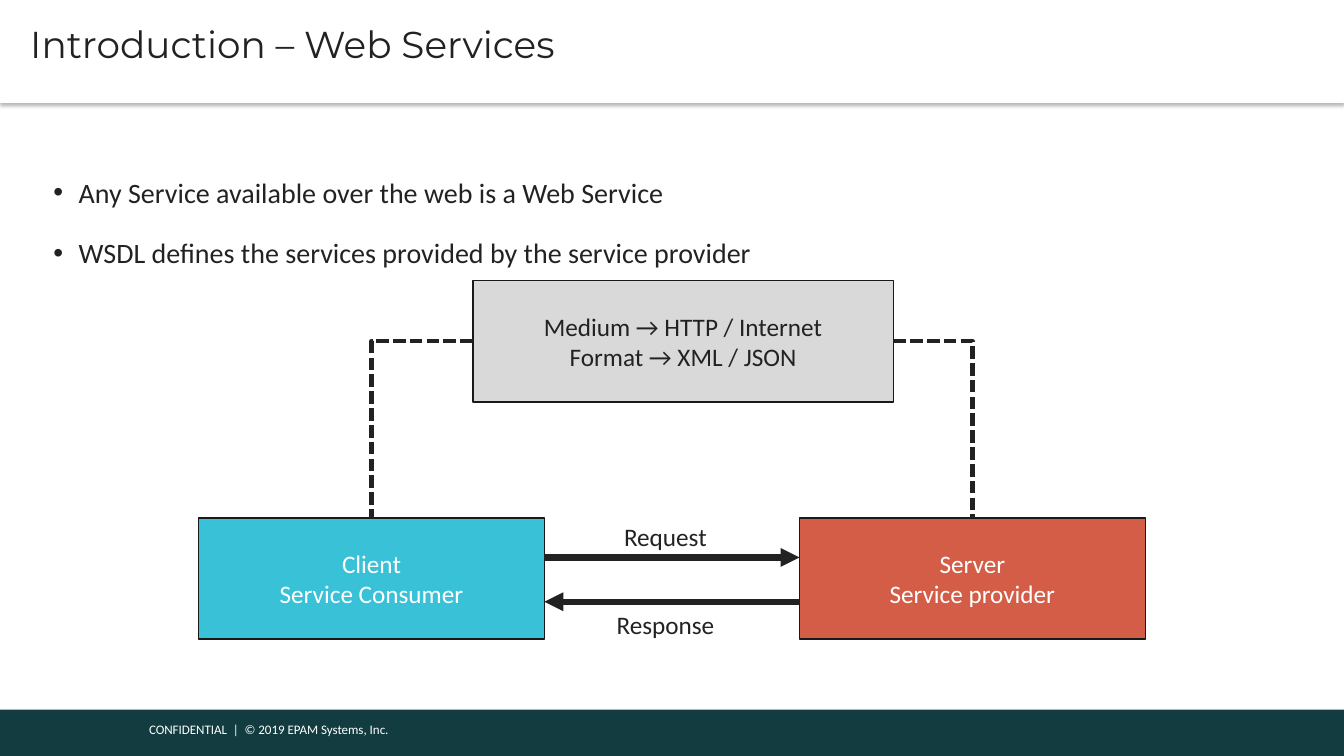
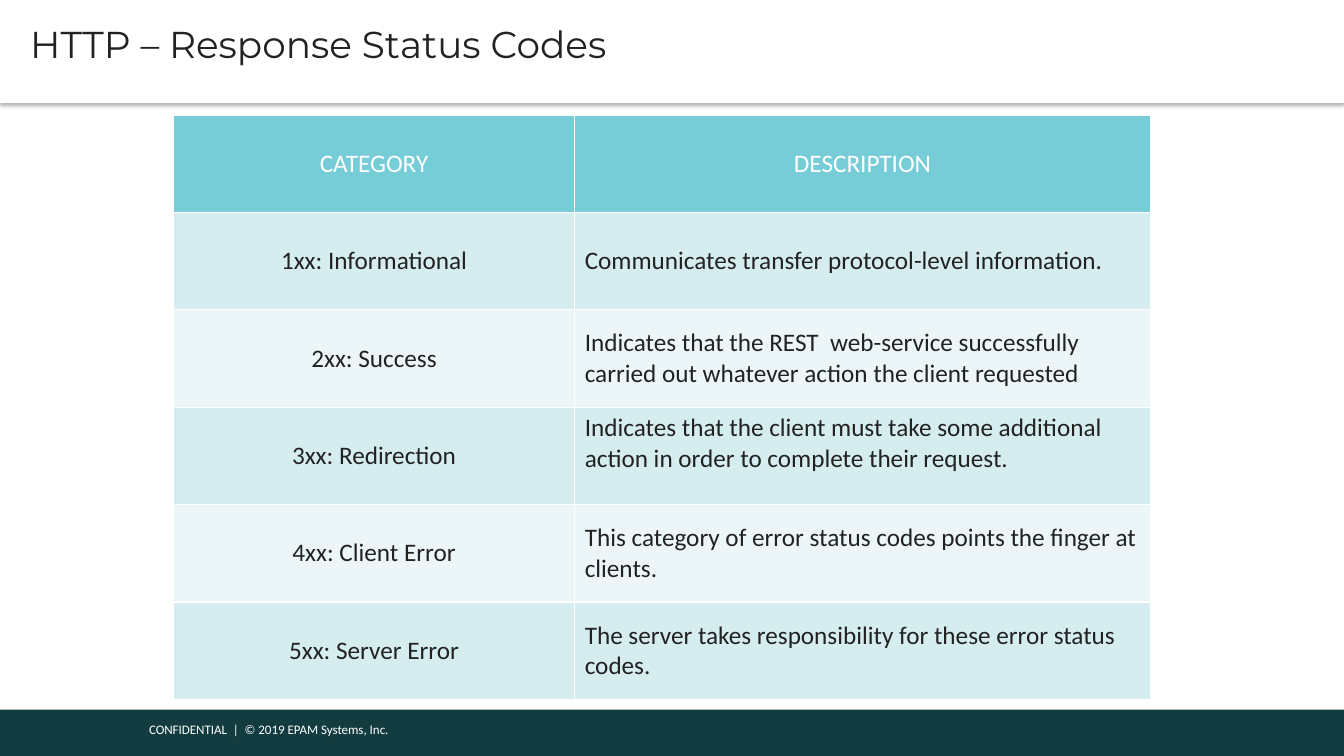
from lxml.etree import SubElement
from pptx import Presentation
from pptx.dml.color import RGBColor
from pptx.enum.dml import MSO_LINE_DASH_STYLE as Dash
from pptx.enum.shapes import MSO_CONNECTOR_TYPE as Connector, MSO_SHAPE as Shape
from pptx.enum.text import MSO_VERTICAL_ANCHOR as Anchor, PP_PARAGRAPH_ALIGNMENT as Align
from pptx.oxml.ns import qn
from pptx.util import Inches, Pt

COLORS = {
    "white": "FFFFFF", "ink": "222222", "outline": "191919", "footer": "133C41",
    "client": "39C2D7", "server": "D35D47", "medium": "D9D9D9",
    "header": "76CDD8", "odd_row": "D6EDF0", "even_row": "ECF6F8", "shadow": "000000",
}
BODY_FONT, TITLE_FONT = "Calibri", "Montserrat"
WIDTH, HEIGHT = 13.33, 7.5
BULLETS = [
    "Any Service available over the web is a Web Service",
    "WSDL defines the services provided by the service provider",
]
STATUS_ROWS = [
    ("CATEGORY", "DESCRIPTION"),
    ("1xx: Informational", "Communicates transfer protocol-level information."),
    ("2xx: Success", "Indicates that the REST  web-service successfully carried out "
                     "whatever action the client requested"),
    ("3xx: Redirection", "Indicates that the client must take some additional action "
                         "in order to complete their request."),
    ("4xx: Client Error", "This category of error status codes points the finger at clients."),
    ("5xx: Server Error", "The server takes responsibility for these error status codes."),
]


def rgb(name):
    """Return the named colour."""
    return RGBColor.from_string(COLORS[name])


def write(text_frame, text, size, color, align=Align.LEFT, font=BODY_FONT):
    """Fill a text frame and format all of its runs."""
    text_frame.text = text
    for paragraph in text_frame.paragraphs:
        paragraph.alignment = align
        for run in paragraph.runs:
            run.font.name, run.font.size, run.font.bold = font, Pt(size), False
            run.font.color.rgb = rgb(color)


def set_margins(text_frame, left, top, right, bottom):
    """Set the four insets of a text frame."""
    text_frame.margin_left, text_frame.margin_top = Inches(left), Inches(top)
    text_frame.margin_right, text_frame.margin_bottom = Inches(right), Inches(bottom)


def add_box(slide, box, fill, outline=None):
    """Add a flat rectangle."""
    shape = slide.shapes.add_shape(Shape.RECTANGLE, *map(Inches, box))
    shape.shadow.inherit = False
    shape.fill.solid()
    shape.fill.fore_color.rgb = rgb(fill)
    if outline:
        shape.line.color.rgb = rgb(outline)
        shape.line.width = Pt(1)
    else:
        shape.line.fill.background()
    return shape


def add_text(slide, box, text, size, color, align=Align.LEFT, wrap=True):
    """Add a text box."""
    text_frame = slide.shapes.add_textbox(*map(Inches, box)).text_frame
    text_frame.word_wrap = wrap
    write(text_frame, text, size, color, align)
    return text_frame


def add_node(slide, box, text, fill, color):
    """Add a labelled diagram box."""
    shape = add_box(slide, box, fill, "outline")
    shape.text_frame.word_wrap = True
    shape.text_frame.vertical_anchor = Anchor.MIDDLE
    write(shape.text_frame, text, 18, color, Align.CENTER)
    return shape


def add_line(slide, kind, start, end, width):
    """Add a plain connector between two points."""
    line = slide.shapes.add_connector(kind, *map(Inches, (*start, *end)))
    line.line.color.rgb = rgb("ink")
    line.line.width = Pt(width)
    SubElement(line._element.spPr, qn("a:effectLst"))
    return line


def add_arrow(slide, start, end):
    """Add a thick arrow."""
    line = add_line(slide, Connector.STRAIGHT, start, end, 4.5)
    SubElement(line.line._get_or_add_ln(), qn("a:tailEnd"), type="triangle")


def add_dashed_elbow(slide, source, side, target):
    """Link a side of the source to the top of the target with one bend."""
    start_x = source.left if side == 1 else source.left + source.width
    start = (start_x.inches if side == 1 else (start_x / Inches(1)),
             (source.top + source.height / 2) / Inches(1))
    end = ((target.left + target.width / 2) / Inches(1), target.top.inches)
    line = add_line(slide, Connector.ELBOW, start, end, 3)
    line.line.dash_style = Dash.SQUARE_DOT
    line._element.spPr.find(qn("a:prstGeom")).set("prst", "bentConnector2")
    line.begin_connect(source, side)
    line.end_connect(target, 0)


def add_title(slide, box, title):
    """Add the white title band with its soft shadow."""
    band = add_box(slide, box, "white")
    effects = band._element.spPr.find(qn("a:effectLst"))
    shadow = SubElement(effects, qn("a:outerShdw"), blurRad=str(Pt(3.1)), dist=str(Pt(2)),
                        dir="5400000", algn="t", rotWithShape="0")
    color = SubElement(shadow, qn("a:srgbClr"), val=COLORS["shadow"])
    SubElement(color, qn("a:alpha"), val="30000")
    text_frame = band.text_frame
    text_frame.word_wrap = True
    text_frame.vertical_anchor = Anchor.MIDDLE
    set_margins(text_frame, 0.3, 0.04, 0.07, 0.04)
    write(text_frame, title, 26.7, "ink", font=TITLE_FONT)
    paragraph = text_frame.paragraphs[0]
    paragraph.line_spacing, paragraph.space_after = Pt(21.3), Pt(4)


def add_footer(slide, box):
    """Add the dark footer band and its notice."""
    left, top, _, _ = box
    add_box(slide, box, "footer")
    add_text(slide, (left + 1.38, top + 0.07, 3.53, 0.26),
             "CONFIDENTIAL  |  © 2019 EPAM Systems, Inc.", 9.3, "white")


def new_slide(presentation, title):
    """Start a slide with the shared footer and title."""
    slide = presentation.slides.add_slide(presentation.slide_layouts[6])
    add_footer(slide, (0, 7.04, WIDTH, 0.46))
    add_title(slide, (0, 0, WIDTH, 1.02), title)
    return slide


def add_bullets(slide, box, lines):
    """Add a bulleted list with wide line spacing."""
    text_frame = add_text(slide, box, "\n".join(lines), 20, "ink")
    set_margins(text_frame, 0, 0, 0, 0)
    for index, paragraph in enumerate(text_frame.paragraphs):
        paragraph.line_spacing, paragraph.space_after = 1.5, Pt(4)
        if index:
            paragraph.space_before = Pt(3.5)
        properties = paragraph._p.get_or_add_pPr()
        properties.set("marL", str(Inches(0.25)))
        properties.set("indent", str(-Inches(0.25)))
        SubElement(properties, qn("a:buFont"), typeface="Arial")
        SubElement(properties, qn("a:buChar"), char="•")


def add_exchange_diagram(slide, box):
    """Draw client, server and medium with their links."""
    left, top, width, height = box
    node_width, node_height = 3.43, 1.2
    node_top = top + height - node_height
    client_right, server_left = left + node_width, left + width - node_width
    client = add_node(slide, (left, node_top, node_width, node_height),
                      "Client\nService Consumer", "client", "white")
    server = add_node(slide, (server_left, node_top, node_width, node_height),
                      "Server\nService provider", "server", "white")
    medium = add_node(slide, (left + 2.72, top, 4.17, 1.21),
                      "Medium → HTTP / Internet\nFormat → XML / JSON", "medium", "ink")
    request_y, response_y = node_top + 0.39, node_top + 0.83
    add_arrow(slide, (client_right, request_y), (server_left, request_y))
    add_arrow(slide, (server_left, response_y), (client_right, response_y))
    for label, offset in (("Request", -0.02), ("Response", 0.86)):
        add_text(slide, (left + 4.04, node_top + offset, 1.18, 0.4), label, 18, "ink",
                 Align.CENTER, wrap=False)
    add_dashed_elbow(slide, medium, 1, client)
    add_dashed_elbow(slide, medium, 3, server)


def add_status_table(slide, box, rows):
    """Add the two-column table of status categories."""
    table = slide.shapes.add_table(len(rows), 2, *map(Inches, box)).table
    for column, width in zip(table.columns, (3.98, 5.71)):
        column.width = Inches(width)
    for row_index, row in enumerate(rows):
        is_header = row_index == 0
        fill = "header" if is_header else ("even_row", "odd_row")[row_index % 2]
        for column_index, text in enumerate(row):
            cell = table.cell(row_index, column_index)
            cell.fill.solid()
            cell.fill.fore_color.rgb = rgb(fill)
            is_top = text.startswith("Indicates that the client")
            cell.vertical_anchor = Anchor.TOP if is_top else Anchor.MIDDLE
            is_centered = is_header or column_index == 0
            write(cell.text_frame, text, 18, "white" if is_header else "ink",
                  Align.CENTER if is_centered else Align.LEFT)


def main():
    """Build and save the presentation."""
    presentation = Presentation()
    presentation.slide_width, presentation.slide_height = Inches(WIDTH), Inches(HEIGHT)
    slide = new_slide(presentation, "Introduction – Web Services")
    add_exchange_diagram(slide, (1.97, 2.78, 9.39, 3.56))
    add_bullets(slide, (0.53, 1.57, 10.96, 1.38), BULLETS)
    slide = new_slide(presentation, "HTTP – Response Status Codes")
    add_status_table(slide, (1.72, 1.14, 9.69, 5.8), STATUS_ROWS)
    presentation.save("out.pptx")


if __name__ == "__main__":
    main()
